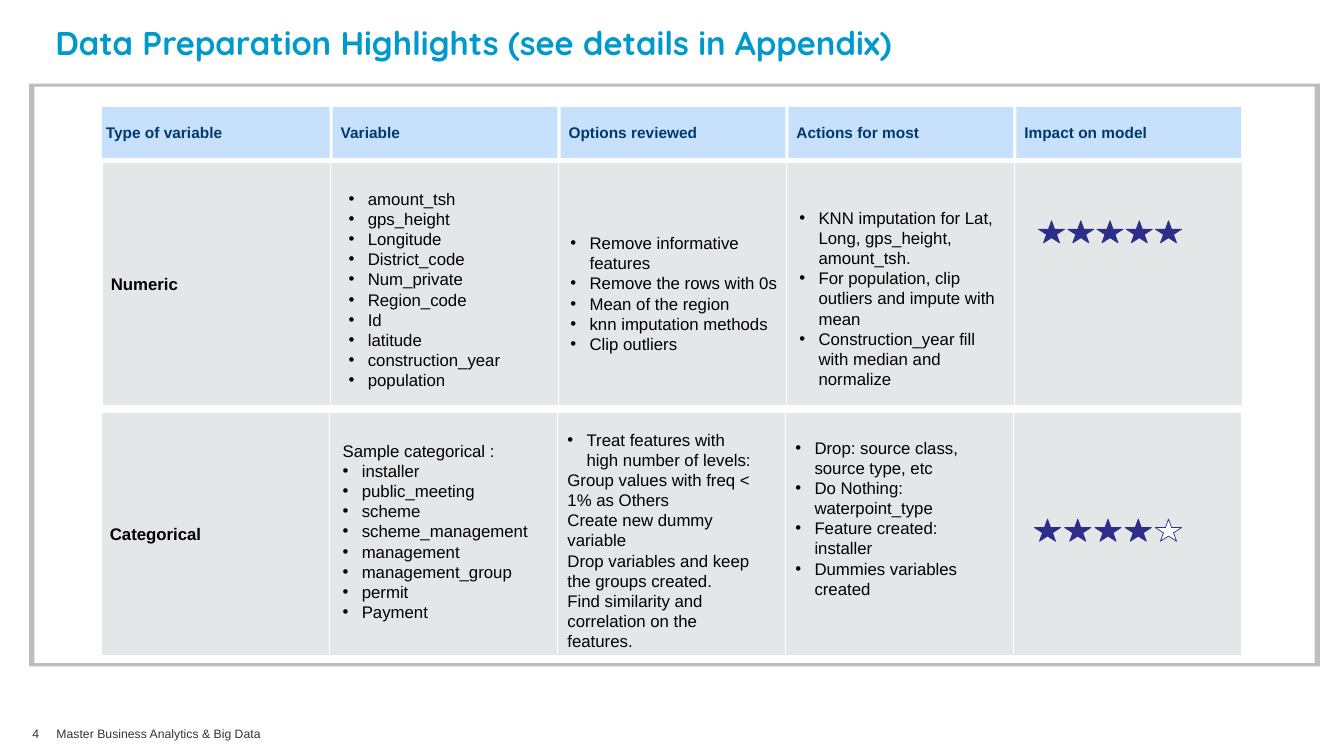
import pptx
import pptx.util
import pptx.dml.color
import pptx.enum.shapes
import pptx.enum.text
import pptx.oxml.ns
from lxml import etree

Inches = pptx.util.Inches
KIND = pptx.enum.shapes.MSO_SHAPE
ANCHOR = pptx.enum.text.MSO_ANCHOR

HUE = {
    "title": "0099CC", "foot": "333333", "text": "000000",
    "head": "C7E0FB", "label": "00396C", "cell": "E4E7E7",
    "star": "2D2D8A", "white": "FFFFFF", "frame": "BEBEBE",
}

HEADS = ["Type of variable", "Variable", "Options reviewed",
         "Actions for most", "Impact on model"]
STEP = 2.26  # column pitch

# Lists: box offset from the row's corner, width, height, lines
ROWS = [
    dict(name="Numeric", box=(1.02, 1.61, STEP, 2.41),
         stars=(9.28, 0.58, 0.29), score=5, lists=[
        (2.34, 0.21, 2.1, 2.12, [
            "• amount_tsh", "• gps_height", "• Longitude",
            "• District_code", "• Num_private", "• Region_code", "• Id",
            "• latitude", "• construction_year", "• population"]),
        (4.54, 0.65, 2.27, 1.31, [
            "• Remove informative features", "• Remove the rows with 0s",
            "• Mean of the region", "• knn imputation methods",
            "• Clip outliers"]),
        (6.81, 0.4, 2.15, 1.92, [
            "• KNN imputation for Lat, Long, gps_height, amount_tsh.",
            "• For population, clip outliers and impute with mean",
            "• Construction_year fill with median and normalize"]),
    ]),
    dict(name="Categorical", box=(1.01, 4.09, STEP, 2.41),
         stars=(9.25, 1.06, 0.3), score=4, lists=[
        (2.29, 0.23, 2.1, 1.92, [
            "Sample categorical :", "• installer", "• public_meeting",
            "• scheme", "• scheme_management", "• management",
            "• management_group", "• permit", "• Payment"]),
        (4.52, 0.12, 2.1, 2.52, [
            "• Treat features with high number of levels:",
            "Group values with freq < 1% as Others",
            "Create new dummy variable",
            "Drop variables and keep the groups created.",
            "Find similarity and correlation on the features."]),
        (6.78, 0.2, 2.23, 1.72, [
            "• Drop: source class, source type, etc",
            "• Do Nothing: waterpoint_type", "• Feature created: installer",
            "• Dummies variables created"]),
    ]),
]


def color(name):
    return pptx.dml.color.RGBColor.from_string(HUE[name])


def child(props, tag, **attrs):
    return etree.SubElement(props, pptx.oxml.ns.qn(tag), attrs)


def write(frame, lines, size=12, font="Arial", hue="text", bold=False,
          anchor=ANCHOR.TOP, pads=(0.1, 0.05, 0.1, 0.05), tab=None):
    """Fill a text frame; lines that start with a bullet get a real one."""
    frame.word_wrap = True
    frame.vertical_anchor = anchor
    (frame.margin_left, frame.margin_top,
     frame.margin_right, frame.margin_bottom) = map(Inches, pads)
    for i, line in enumerate(lines):
        para = frame.add_paragraph() if i else frame.paragraphs[0]
        para.alignment = pptx.enum.text.PP_ALIGN.LEFT
        props = para._p.get_or_add_pPr()
        if line.startswith("• "):
            line = line[2:]
            props.set("marL", str(Inches(0.19)))
            props.set("indent", str(-Inches(0.19)))
            child(props, "a:buFont", typeface="Arial")
            child(props, "a:buChar", char="•")
        if tab:
            stops = child(props, "a:tabLst")
            child(stops, "a:tab", pos=str(Inches(tab)), algn="l")
        run = para.add_run()
        run.text = line
        run.font.size = pptx.util.Pt(size)
        run.font.name = font
        run.font.bold = bold
        run.font.color.rgb = color(hue)


def label(slide, box, lines, **style):
    shape = slide.shapes.add_textbox(*map(Inches, box))
    write(shape.text_frame, lines, **style)


def paint(shape, fill, line=None):
    shape.shadow.inherit = False
    shape.fill.solid()
    shape.fill.fore_color.rgb = color(fill)
    if line:
        shape.line.color.rgb = color(line)
        shape.line.width = pptx.util.Pt(0.5)
    else:
        shape.line.fill.background()


def block(slide, kind, box, fill, line=None):
    shape = slide.shapes.add_shape(kind, *map(Inches, box))
    paint(shape, fill, line)
    return shape


def header(slide, box):
    left, top, width, height = box
    for i, text in enumerate(HEADS):
        gap = 0.03 if i else 0
        cell = block(slide, KIND.RECTANGLE,
                     (left + i * STEP + gap, top, width - gap, height), "head")
        write(cell.text_frame, [text], size=11, hue="label", bold=True,
              anchor=ANCHOR.MIDDLE, pads=(0.08 if i else 0.04, 0, 0, 0))


def rating(slide, left, top, step, score):
    for i in range(5):
        block(slide, KIND.STAR_5_POINT, (left + i * step, top, 0.26, 0.22),
              "star" if i < score else "white", "star")


def band(slide, box, name, lists, stars, score):
    left, top, width, height = box
    for i in range(len(HEADS)):
        cell = block(slide, KIND.RECTANGLE,
                     (left + i * STEP, top, width, height), "cell", "white")
        if i == 0:
            write(cell.text_frame, [name], bold=True, anchor=ANCHOR.MIDDLE,
                  pads=(0.08,) * 4)
    for dx, dy, wide, high, lines in lists:
        label(slide, (left + dx, top + dy, wide, high), lines)
    dx, dy, step = stars
    rating(slide, left + dx, top + dy, step, score)


def border(slide, box, side, edge):
    """Hollow frame with thick sides and thin top and bottom edges."""
    left, top, width, height = box
    right, low = left + width, top + height
    pen = slide.shapes.build_freeform(Inches(left), Inches(top), 1.0)
    outer = [(right, top), (right, low), (left, low)]
    pen.add_line_segments([tuple(map(Inches, p)) for p in outer])
    pen.move_to(Inches(left + side), Inches(top + edge))
    inner = [(left + side, low - edge), (right - side, low - edge),
             (right - side, top + edge)]
    pen.add_line_segments([tuple(map(Inches, p)) for p in inner])
    paint(pen.convert_to_shape(), "frame")


def main():
    deck = pptx.Presentation()
    deck.slide_width, deck.slide_height = Inches(13.33), Inches(7.5)
    slide = deck.slides.add_slide(deck.slide_layouts[6])
    label(slide, (0.2, 7.15, 4.42, 0.27),
          ["4\tMaster Business Analytics & Big Data"], size=8.7, hue="foot",
          pads=(0.12, 0.06, 0.12, 0.06), tab=0.24)
    label(slide, (0.45, 0.16, 12, 0.51),
          ["Data Preparation Highlights (see details in Appendix)"],
          size=23.5, font="Quicksand", hue="title", bold=True,
          anchor=ANCHOR.BOTTOM)
    for row in ROWS:
        band(slide, **row)
    header(slide, (1.01, 1.06, STEP, 0.51))
    border(slide, (0.29, 0.83, 12.8, 5.78), 0.05, 0.03)
    deck.save("out.pptx")


if __name__ == "__main__":
    main()
